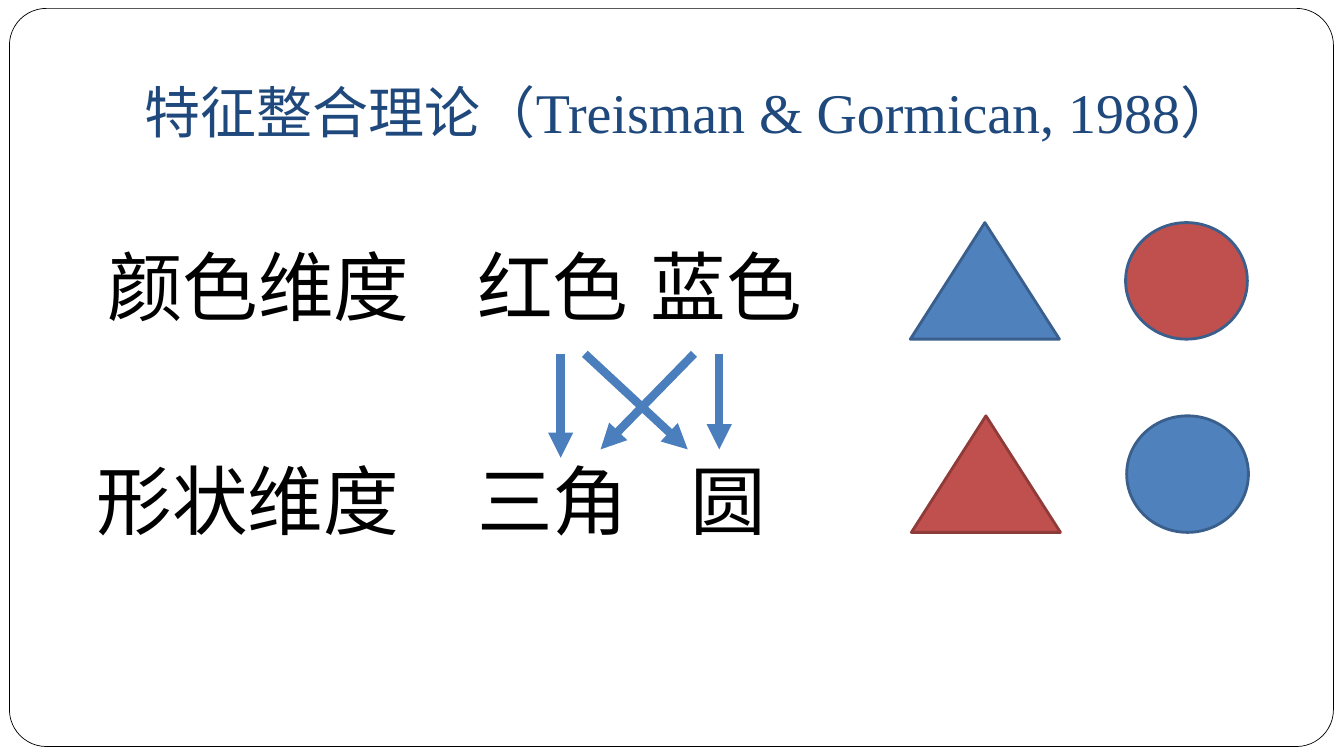
from lxml.etree import SubElement
from pptx import Presentation
from pptx.dml.color import RGBColor
from pptx.enum.shapes import MSO_CONNECTOR, MSO_SHAPE
from pptx.enum.text import MSO_ANCHOR, PP_ALIGN
from pptx.oxml.ns import qn
from pptx.util import Emu, Pt

EMU_PER_PX = 9525
FONT = "Times New Roman"
COLORS = {
    "white": "FFFFFF",
    "black": "000000",
    "title": "1F497D",
    "blue": "4F81BD",
    "red": "C0504D",
    "blue_edge": "3A5F8C",
    "red_edge": "8E3B39",
    "arrow": "4B7EBC",
}


def px(*lengths):
    """Turn pixel lengths into EMU."""
    return [Emu(length * EMU_PER_PX) for length in lengths]


def color(name):
    """Look up a named colour."""
    return RGBColor.from_string(COLORS[name])


def add_text(slide, text, box, size=54, ink="black", align=PP_ALIGN.CENTER,
             anchor=MSO_ANCHOR.TOP, wrap=False, bottom=5):
    """Add one line of formatted text in a box."""
    frame = slide.shapes.add_textbox(*px(*box)).text_frame
    frame.word_wrap = wrap
    frame.vertical_anchor = anchor
    frame.margin_bottom = px(bottom)[0]
    paragraph = frame.paragraphs[0]
    paragraph.alignment = align
    run = paragraph.add_run()
    run.text = text
    run.font.name = FONT
    run.font.size = Pt(size)
    run.font.color.rgb = color(ink)


def add_figure(slide, kind, box, fill, edge, width=2):
    """Add a filled and outlined preset shape."""
    shape = slide.shapes.add_shape(kind, *px(*box))
    shape.shadow.inherit = False
    shape.fill.solid()
    shape.fill.fore_color.rgb = color(fill)
    shape.line.color.rgb = color(edge)
    shape.line.width = Pt(width)
    return shape


def add_arrow(slide, start, end):
    """Add a thick straight arrow between two points."""
    arrow = slide.shapes.add_connector(MSO_CONNECTOR.STRAIGHT, *px(*start, *end))
    arrow.line.color.rgb = color("arrow")
    arrow.line.width = Pt(6)
    SubElement(arrow.line._get_or_add_ln(), qn("a:tailEnd"), type="triangle")
    SubElement(arrow._element.spPr, qn("a:effectLst"))


def main():
    """Build and save the feature integration slide."""
    presentation = Presentation()
    presentation.slide_width, presentation.slide_height = px(1280, 720)
    slide = presentation.slides.add_slide(presentation.slide_layouts[6])

    frame = add_figure(slide, MSO_SHAPE.ROUNDED_RECTANGLE, (9, 8, 1261, 703),
                       "white", "black", width=0.5)
    frame.adjustments[0] = 0.05
    add_text(slide, "特征整合理论（Treisman & Gormican, 1988）", (128, 29, 1088, 119),
             size=40, ink="title", align=PP_ALIGN.LEFT,
             anchor=MSO_ANCHOR.BOTTOM, wrap=True, bottom=10)

    figure_rows = [
        (867, 212, ("blue", "blue_edge"), ("red", "blue_edge")),
        (868, 396, ("red", "red_edge"), ("blue", "blue_edge")),
    ]
    for left, top, triangle, circle in figure_rows:
        add_figure(slide, MSO_SHAPE.ISOSCELES_TRIANGLE, (left, top, 142, 111), *triangle)
        add_figure(slide, MSO_SHAPE.OVAL, (left + 205, top, 116, 111), *circle)

    label_rows = [
        (224, [("颜色维度", 91, 310), ("红色", 444, 165), ("蓝色", 609, 165)]),
        (428, [("形状维度", 81, 310), ("三角", 444, 165), ("圆", 611, 165)]),
    ]
    for top, labels in label_rows:
        for text, left, width in labels:
            add_text(slide, text, (left, top, width, 97))

    for start, end, bottom in [(557, 655, 428), (534, 534, 436),
                               (661, 572, 428), (685, 685, 428)]:
        add_arrow(slide, (start, 337), (end, bottom))

    presentation.save("out.pptx")


if __name__ == "__main__":
    main()
